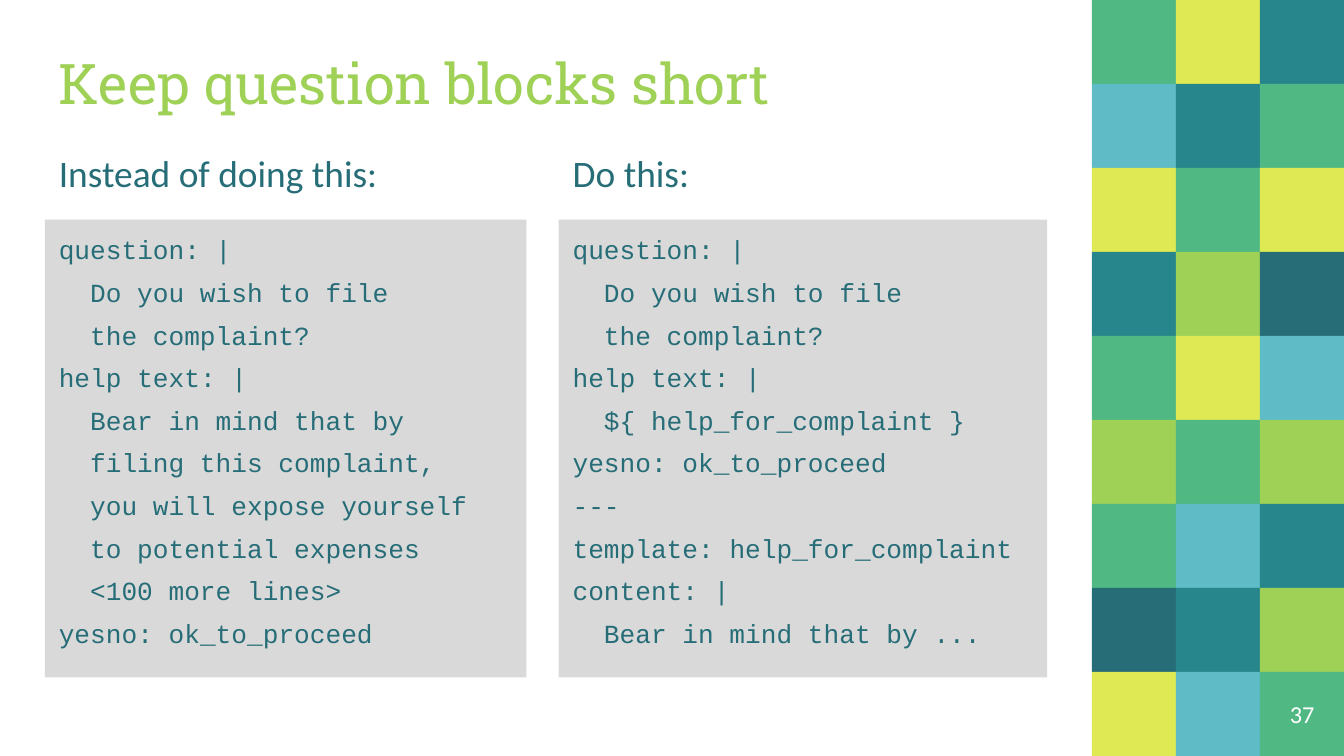
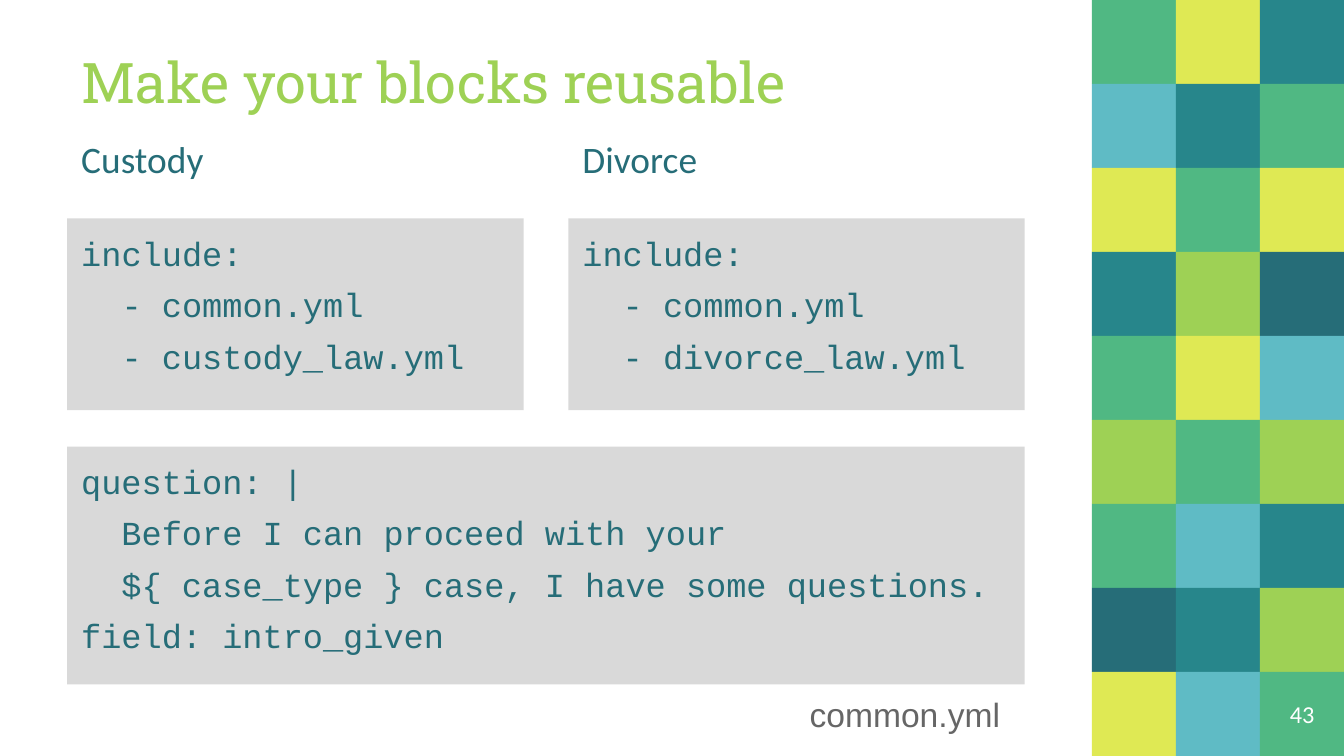
from pptx import Presentation
from pptx.dml.color import RGBColor
from pptx.enum.shapes import MSO_SHAPE
from pptx.enum.text import MSO_ANCHOR, PP_ALIGN
from pptx.util import Emu, Pt

RECT = MSO_SHAPE.RECTANGLE
TOP, MIDDLE, BOTTOM = MSO_ANCHOR.TOP, MSO_ANCHOR.MIDDLE, MSO_ANCHOR.BOTTOM
LEFT, CENTER, RIGHT = PP_ALIGN.LEFT, PP_ALIGN.CENTER, PP_ALIGN.RIGHT

# Palette and type
LIME, NAVY, YELLOW = "9ED155", "266D78", "DFE954"
GREEN, TEAL, SKY = "50B883", "27868B", "5FBBC5"
GRAY, DARK, WHITE = "D9D9D9", "666666", "FFFFFF"
SLAB, SANS, MONO, PLAIN = "Roboto Slab", "Calibri", "Courier New", "Arial"

# Mosaic colours, row by row
TILES = [
    (GREEN, YELLOW, TEAL),
    (SKY, TEAL, GREEN),
    (YELLOW, GREEN, YELLOW),
    (TEAL, LIME, NAVY),
    (GREEN, YELLOW, SKY),
    (LIME, GREEN, LIME),
    (GREEN, SKY, TEAL),
    (NAVY, TEAL, LIME),
    (YELLOW, SKY, GREEN),
]
WIDE, HIGH, TILE = 960, 540, 60
PAD = 10
HEAD_W, HEAD_H = 326, 60

# Code samples: ">" marks an indented line
LONG = """question: |
>Do you wish to file
>the complaint?
help text: |
>Bear in mind that by
>filing this complaint,
>you will expose yourself
>to potential expenses
><100 more lines>
yesno: ok_to_proceed"""
SHORT = """question: |
>Do you wish to file
>the complaint?
help text: |
>${ help_for_complaint }
yesno: ok_to_proceed
---
template: help_for_complaint
content: |
>Bear in mind that by ..."""
LAW = """include:
>- common.yml
>- {}_law.yml"""
INTRO = """question: |
>Before I can proceed with your
>${ case_type } case, I have some questions.
field: intro_given"""


def px(n):
    return Emu(n * 9525)


def rgb(code):
    return RGBColor.from_string(code)


def place(shape, box):
    shape.left, shape.top, shape.width, shape.height = map(px, box)


def block(slide, box, fill):
    shape = slide.shapes.add_shape(RECT, *map(px, box))
    shape.shadow.inherit = False
    shape.fill.solid()
    shape.fill.fore_color.rgb = rgb(fill)
    shape.line.fill.background()
    return shape


def write(shape, text, face, size, color, align=LEFT, anchor=TOP, before=0):
    frame = shape.text_frame
    frame.word_wrap = True
    frame.vertical_anchor = anchor
    frame.margin_left = frame.margin_right = px(PAD)
    frame.margin_top = frame.margin_bottom = px(PAD)
    for i, line in enumerate(text.split("\n")):
        para = frame.add_paragraph() if i else frame.paragraphs[0]
        para.text = line.removeprefix(">")
        para.alignment = align
        para.space_before = Pt(before)
        para.font.name, para.font.size = face, Pt(size)
        para.font.color.rgb = rgb(color)
        if line.startswith(">"):
            # Two fixed-width characters, 0.6 em each
            para._p.get_or_add_pPr().set("marL", str(Pt(size * 1.2)))


def label(slide, box, text, *style, **more):
    write(slide.shapes.add_textbox(*map(px, box)), text, *style, **more)


def head(slide, x, y, text):
    label(slide, (x, y, HEAD_W, HEAD_H), text, SANS, 20, NAVY, before=6)


def code(slide, box, text, size):
    write(block(slide, box, GRAY), text, MONO, size, NAVY, before=6)


def mosaic(slide, x, y, number):
    for r, row in enumerate(TILES):
        for c, color in enumerate(row):
            box = (x + c * TILE, y + r * TILE, TILE, TILE)
            block(slide, box, color)
    # Page number on the last tile
    label(slide, box, number, SANS, 13, WHITE, align=CENTER, anchor=MIDDLE)


def base(deck, title, box, number):
    slide = deck.slides.add_slide(deck.slide_layouts[5])
    mosaic(slide, WIDE - 3 * TILE, 0, number)
    place(slide.shapes.title, box)
    write(slide.shapes.title, title, SLAB, 30, LIME, anchor=BOTTOM)
    return slide


def compare(deck):
    x, y = 32, 97
    slide = base(deck, "Keep question blocks short", (x, 3, 673, 90), "37")
    columns = [
        (x, 344, "Instead of doing this:", LONG),
        (x + 367, 349, "Do this:", SHORT),
    ]
    for left, width, name, text in columns:
        head(slide, left, y, name)
        code(slide, (left, y + HEAD_H, width, 327), text, 14)


def reuse(deck):
    x, y, step = 48, 87, 358
    slide = base(deck, "Make your blocks reusable", (x, 10, 673, 82), "43")
    for i, name in enumerate(("Custody", "Divorce")):
        left = x + i * step
        head(slide, left, y, name)
        text = LAW.format(name.lower())
        code(slide, (left, y + 69, HEAD_W, 137), text, 18)
    # Shared file, with its name below
    code(slide, (x, y + 232, step + HEAD_W, 170), INTRO, 18)
    label(slide, (x + 500, y + 399, 183, 49), "common.yml ",
          PLAIN, 18, DARK, align=RIGHT)


def main():
    deck = Presentation()
    deck.slide_width, deck.slide_height = px(WIDE), px(HIGH)
    compare(deck)
    reuse(deck)
    deck.save("out.pptx")


if __name__ == "__main__":
    main()
